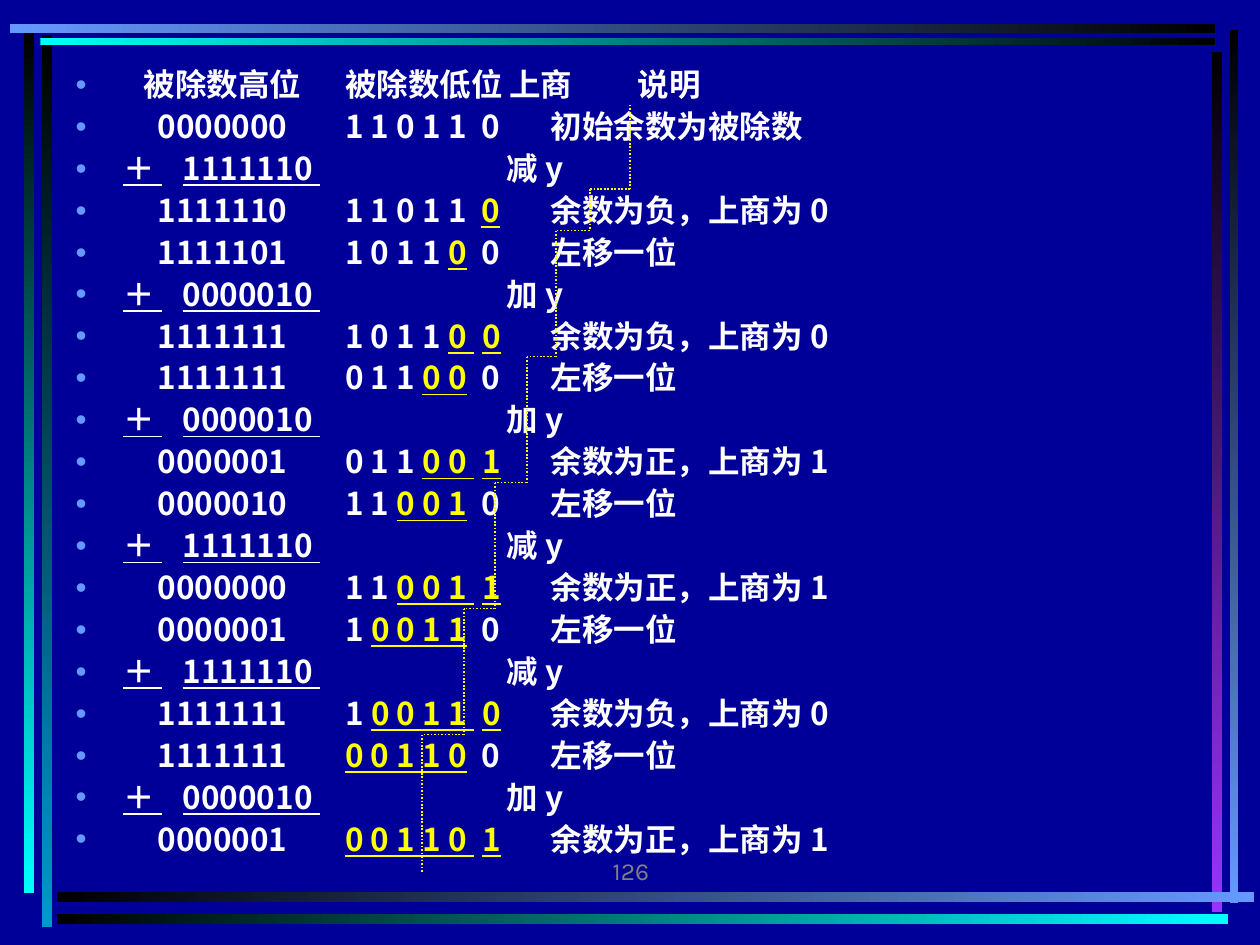
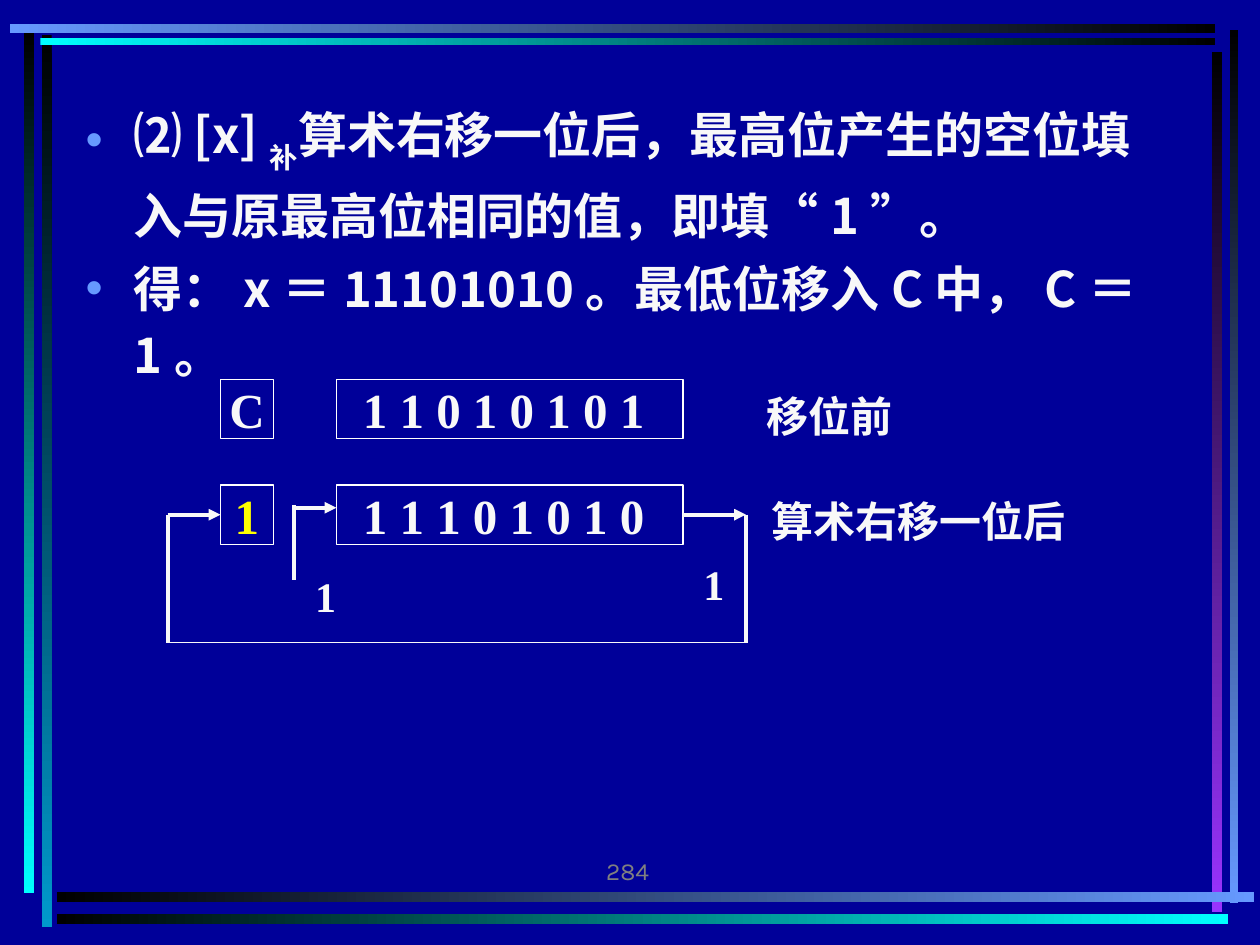
"""Build two slides on binary division steps and arithmetic right shift."""
from lxml.etree import SubElement
from pptx import Presentation
from pptx.dml.color import RGBColor
from pptx.enum.dml import MSO_LINE
from pptx.enum.shapes import MSO_CONNECTOR, MSO_SHAPE
from pptx.enum.text import MSO_ANCHOR, MSO_AUTO_SIZE, PP_ALIGN
from pptx.oxml.ns import qn
from pptx.util import Inches, Pt

NAVY, WHITE, PALE, YELLOW = "000099", "FFFFFF", "F8F8F8", "FFFF00"
BLUE, CYAN, BLACK, GRAY = "6699FF", "00FFFF", "000000", "808080"
SANS, SERIF, NUMBER_FONT = "Noto Sans CJK SC", "Times New Roman", "Karla"

BANDS = [
    (0.33, 0.28, 0.08, 7.08, BLACK, "0099CC"),
    (0.19, 0.25, 0.08, 6.84, BLACK, CYAN),
    (9.76, 0.24, 0.07, 6.93, BLACK, BLUE),
    (9.62, 0.41, 0.08, 6.83, BLACK, "9933FF"),
    (0.45, 7.08, 9.5, 0.08, BLACK, BLUE),
    (0.45, 7.25, 9.3, 0.08, BLACK, CYAN),
    (0.32, 0.3, 9.32, 0.06, CYAN, BLACK),
    (0.08, 0.19, 9.56, 0.07, BLUE, BLACK),
]

HEADINGS = ("被除数高位", "被除数低位", "上商", "说明")
NEGATIVE, POSITIVE, SHIFT = "余数为负，上商为0", "余数为正，上商为1", "左移一位"
SUBTRACT, ADD = ("1111110", "减y"), ("0000010", "加y")
STEPS = [
    ("0000000", "1 1 0 1 1\t0", "", "", "初始余数为被除数"),
    SUBTRACT,
    ("1111110", "1 1 0 1 1\t", "", "0", NEGATIVE),
    ("1111101", "1 0 1 1 ", "0", "\t0", SHIFT),
    ADD,
    ("1111111", "1 0 1 1 ", "0", "0", NEGATIVE),
    ("1111111", "0 1 1 ", "0 0", "\t0", SHIFT),
    ADD,
    ("0000001", "0 1 1 ", "0 0", "1", POSITIVE),
    ("0000010", "1 1 ", "0 0 1", "\t0", SHIFT),
    SUBTRACT,
    ("0000000", "1 1 ", "0 0 1", "1", POSITIVE),
    ("0000001", "1 ", "0 0 1 1", "\t0", SHIFT),
    SUBTRACT,
    ("1111111", "1 ", "0 0 1 1", "0", NEGATIVE),
    ("1111111", "", "0 0 1 1 0", "\t0", SHIFT),
    ADD,
    ("0000001", "", "0 0 1 1 0", "1", POSITIVE),
]
HEADING_TABS = (0.54, 2.14, 3.44, 4.46)
OPERATION_TABS = (0.38, 0.85, 3.42)
VALUE_TABS = (0.65, 2.14, 3.22, 3.77)
STAIR_LEFTS = (5, 4.68, 4.41, 4.18, 3.93, 3.68, 3.35)
STAIR_TOPS = (0.83, 1.5, 1.83, 2.83, 3.83, 4.83, 5.83, 6.92)

SHIFT_RULE = [
    ("⑵ [x]", {}),
    ("补", {"baseline": -30}),
    ("算术右移一位后，最高位产生的空位填入与原最高位相同的值，即填", {}),
    ("“", {"font": SERIF}),
    ("1", {}),
    ("”", {"font": SERIF}),
    ("。", {}),
]
SHIFT_RESULT = [
    ("得：x＝11101010。最低位移入C中，C＝1。", {}),
    (" ", {"size": 32, "font": NUMBER_FONT}),
]
REGISTERS = [
    (3.01, "C", PALE, "1 1 0 1 0 1 0 1 "),
    (3.85, "1", YELLOW, "1 1 1 0 1 0 1 0 "),
]
REGISTER_HEIGHT = 0.47
LABELS = [
    ("移位前", 5.92, 3.1, 1.33),
    ("算术右移一位后", 6.08, 3.93, 2.42),
    ("1", 5.5, 4.43, 0.33),
    ("1", 2.42, 4.53, 0.33),
]


def color(value):
    """Turn a hex string into a colour."""
    return RGBColor.from_string(value)


def add_text(paragraph, text, size=18, font=SANS, fill=WHITE, bold=True,
             underline=None, baseline=0, spacing=0):
    """Append a formatted run to a paragraph."""
    run = paragraph.add_run()
    run.text = text
    run.font.size, run.font.bold, run.font.underline = Pt(size), bold, underline
    run.font.color.rgb = color(fill)
    run.font.name = font
    properties = run._r.get_or_add_rPr()
    SubElement(properties, qn("a:ea"), typeface=SANS)
    if baseline:
        properties.set("baseline", str(baseline * 1000))
    if spacing:
        properties.set("spc", str(round(spacing * 100)))


def format_bullet(paragraph, indent=0.0, tabs=()):
    """Give a paragraph a blue bullet, a hanging indent and tab stops."""
    properties = paragraph._p.get_or_add_pPr()
    properties.set("marL", str(Inches(indent)))
    properties.set("indent", str(-Inches(indent)))
    bullet_color = SubElement(properties, qn("a:buClr"))
    SubElement(bullet_color, qn("a:srgbClr"), val=BLUE)
    SubElement(properties, qn("a:buChar"), char="•")
    if tabs:
        tab_list = SubElement(properties, qn("a:tabLst"))
        for position in tabs:
            SubElement(tab_list, qn("a:tab"), pos=str(Inches(position)), algn="l")


def next_paragraph(frame, space_before):
    """Return the empty first paragraph or a new one with space before."""
    first = frame.paragraphs[0]
    if not first.runs:
        first.space_before = Pt(0)
        return first
    paragraph = frame.add_paragraph()
    paragraph.space_before = Pt(space_before)
    return paragraph


def add_line(slide, begin, end, fill=PALE, width=2.25, dash=None, arrow=False):
    """Draw a straight connector between two points in inches."""
    line = slide.shapes.add_connector(
        MSO_CONNECTOR.STRAIGHT, *(Inches(value) for value in (*begin, *end)))
    line.line.color.rgb = color(fill)
    line.line.width = Pt(width)
    if dash:
        line.line.dash_style = dash
    if arrow:
        SubElement(line.line._get_or_add_ln(), qn("a:tailEnd"), type="triangle")
    SubElement(line._element.spPr, qn("a:effectLst"))
    return line


def add_bands(presentation, slide):
    """Draw the gradient bands and move them to the slide master."""
    master = presentation.slide_master
    master.background.fill.solid()
    master.background.fill.fore_color.rgb = color(NAVY)
    for left, top, width, height, start, end in BANDS:
        band = slide.shapes.add_shape(
            MSO_SHAPE.RECTANGLE, *(Inches(value) for value in (left, top, width, height)))
        band.shadow.inherit = False
        band.line.fill.background()
        band.fill.gradient()
        band.fill.gradient_angle = 0 if width > height else 270
        for stop, value in zip(band.fill.gradient_stops, (start, end)):
            stop.color.rgb = color(value)
        master.shapes.element.append(band.element)


def prepare_slide(slide, number, left, top, width, height):
    """Add the page number, place the body and return its text frame."""
    title = slide.shapes.title.element
    title.getparent().remove(title)
    page = slide.shapes.add_textbox(Inches(3.17), Inches(6.58), Inches(2.08), Inches(0.5))
    page.text_frame.word_wrap = True
    page.text_frame.vertical_anchor = MSO_ANCHOR.BOTTOM
    page.text_frame.paragraphs[0].alignment = PP_ALIGN.RIGHT
    add_text(page.text_frame.paragraphs[0], number, size=14, font=NUMBER_FONT,
             fill=GRAY, bold=False)
    body = slide.placeholders[1]
    body.left, body.top = Inches(left), Inches(top)
    body.width, body.height = Inches(width), Inches(height)
    body.text_frame.auto_size = MSO_AUTO_SIZE.NONE
    return body.text_frame


def add_step(frame, tabs, runs):
    """Add one tabbed row of the division."""
    paragraph = next_paragraph(frame, 4.5)
    paragraph.alignment = PP_ALIGN.JUSTIFY
    paragraph.line_spacing = 0.9
    format_bullet(paragraph, tabs=tabs)
    for text, style in runs:
        if text:
            add_text(paragraph, text, **style)


def build_division(slide):
    """Fill the slide that lists the division steps."""
    frame = prepare_slide(slide, "126", 0.5, 0.5, 8.75, 6.5)
    add_step(frame, HEADING_TABS, [("\t" + "\t".join(HEADINGS), {})])
    underlined = {"underline": True}
    marked = {"fill": YELLOW, "underline": True}
    for step in STEPS:
        if len(step) == 2:
            operand, action = step
            add_step(frame, OPERATION_TABS, [
                ("\t", {}), ("＋", underlined), (" ", {"spacing": 9.4, **underlined}),
                ("\t", {}), (f"{operand} ", underlined), (f"\t{action}", {})])
        else:
            high, dividend, quotient, last, note = step
            new_digit = last and not last.startswith("\t")
            wide_gap = " " if quotient and new_digit else ""
            add_step(frame, VALUE_TABS, [
                (f"\t{high}\t{dividend}", {}),
                (quotient, marked),
                (wide_gap, {"spacing": 4.7, **marked}),
                (last, marked if new_digit else {}),
                (f"\t{note}", {})])
    corners = [(STAIR_LEFTS[0], STAIR_TOPS[0])]
    for index, left in enumerate(STAIR_LEFTS):
        corners += [(left, STAIR_TOPS[index]), (left, STAIR_TOPS[index + 1])]
    for begin, end in zip(corners[1:], corners[2:]):
        add_line(slide, begin, end, fill=YELLOW, width=1, dash=MSO_LINE.ROUND_DOT)


def center_text(shape, text, **style):
    """Write centred text without insets."""
    frame = shape.text_frame
    frame.margin_left = frame.margin_right = 0
    frame.margin_top = frame.margin_bottom = 0
    frame.word_wrap = True
    frame.vertical_anchor = MSO_ANCHOR.MIDDLE
    frame.paragraphs[0].alignment = PP_ALIGN.CENTER
    add_text(frame.paragraphs[0], text, font=SERIF, **style)


def add_register(slide, text, left, top, width, fill):
    """Draw an outlined register box."""
    box = slide.shapes.add_shape(MSO_SHAPE.RECTANGLE, Inches(left), Inches(top),
                                 Inches(width), Inches(REGISTER_HEIGHT))
    box.shadow.inherit = False
    box.fill.background()
    box.line.color.rgb = color(WHITE)
    box.line.width = Pt(0.75)
    center_text(box, text, size=28, fill=fill)
    return box


def build_shift(slide):
    """Fill the slide that explains the arithmetic right shift."""
    frame = prepare_slide(slide, "284", 0.58, 0.67, 8.83, 5.83)
    for runs, spacing in ((SHIFT_RULE, 1.2), (SHIFT_RESULT, 1.0)):
        paragraph = next_paragraph(frame, 8)
        paragraph.line_spacing = spacing
        format_bullet(paragraph, indent=0.38)
        for text, style in runs:
            add_text(paragraph, text, **{"size": 28, "fill": PALE, **style})
    for top, carry, carry_color, bits in REGISTERS:
        carry_box = add_register(slide, carry, 1.75, top, 0.42, carry_color)
        bits_box = add_register(slide, bits, 2.67, top, 2.75, PALE)
    for text, left, top, width in LABELS:
        label = slide.shapes.add_textbox(Inches(left), Inches(top), Inches(width), Inches(0.4))
        center_text(label, text, size=24, fill=PALE)
    middle = REGISTERS[1][0] + REGISTER_HEIGHT / 2
    add_line(slide, (5.42, middle), (5.92, middle), arrow=True).begin_connect(bits_box, 3)
    add_line(slide, (1.33, middle), (1.75, middle), arrow=True).end_connect(carry_box, 1)
    add_line(slide, (2.33, 4.03), (2.67, 4.03), arrow=True)
    add_line(slide, (2.33, 4.01), (2.33, 4.6))
    for left in (1.33, 5.92):
        add_line(slide, (left, middle), (left, 5.1))
    add_line(slide, (5.92, 5.1), (1.33, 5.1), width=0.75)


def main():
    """Create the presentation."""
    presentation = Presentation()
    presentation.slide_width, presentation.slide_height = Inches(10), Inches(7.5)
    layout = presentation.slide_layouts[1]
    division, shift = (presentation.slides.add_slide(layout) for _ in range(2))
    add_bands(presentation, division)
    build_division(division)
    build_shift(shift)
    presentation.save("out.pptx")


if __name__ == "__main__":
    main()
